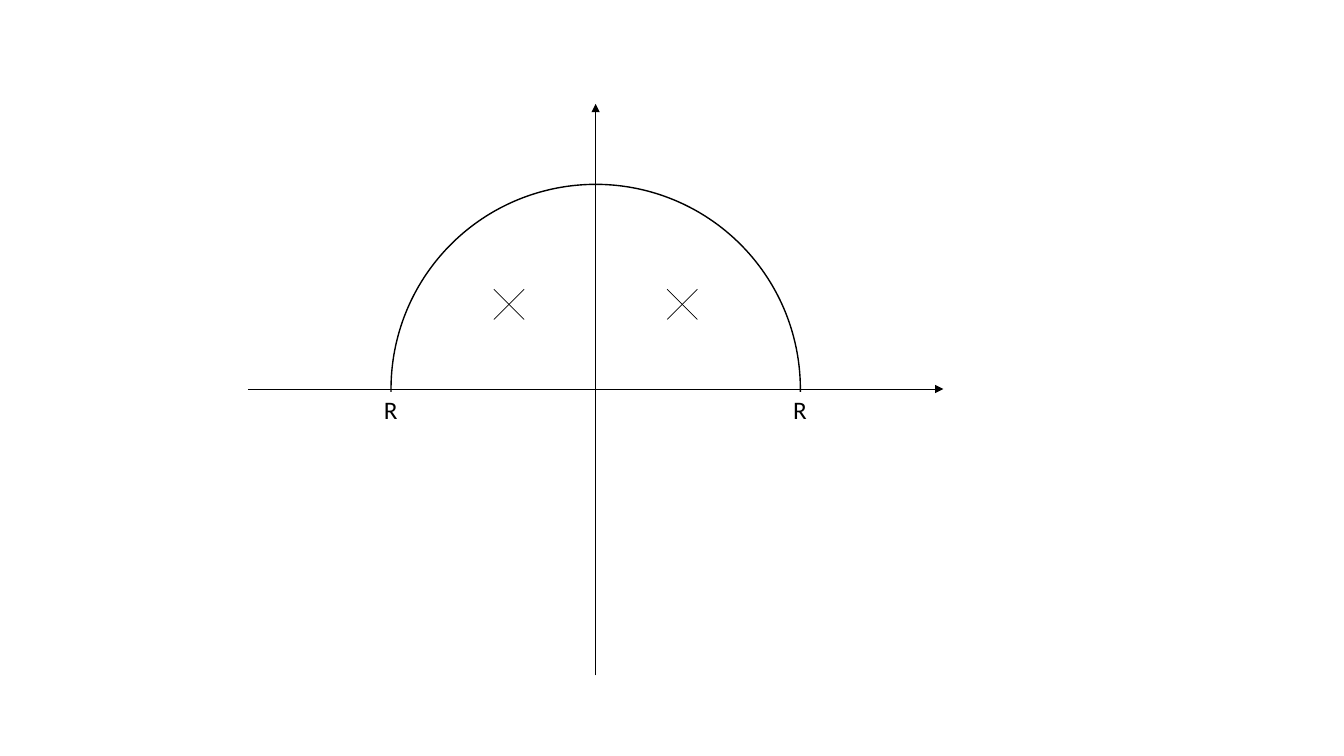
import pptx
import pptx.dml.color
import pptx.enum.shapes
import pptx.enum.text
import pptx.oxml.ns
import pptx.util
import lxml.etree

COLORS = {"ink": "000000", "paper": "FFFFFF"}
ORIGIN_X, ORIGIN_Y = 425.5, 277.9
RADIUS = 146.2
POLE_X, POLE_RISE = 61.9, 60.5


class ContourSlide:
    font_name = "Calibri"
    font_size = 18
    thin_line = 0.5
    curve_line = 1

    def __init__(self, slide):
        self.slide = slide

    def color(self, name):
        return pptx.dml.color.RGBColor.from_string(COLORS[name])

    def points(self, *lengths):
        return [pptx.util.Pt(length) for length in lengths]

    def add_paper_shape(self, kind, left, top, width, height, line_width=None):
        """Add a paper-coloured shape, outlined only if a line width is given."""
        shape = self.slide.shapes.add_shape(
            kind, *self.points(left, top, width, height))
        shape.shadow.inherit = False
        shape.fill.solid()
        shape.fill.fore_color.rgb = self.color("paper")
        if line_width is None:
            shape.line.fill.background()
        else:
            shape.line.color.rgb = self.color("ink")
            shape.line.width = pptx.util.Pt(line_width)

    def add_line(self, start, end, arrow=False, shapes=None):
        """Add a thin line to the slide, or to the shapes of a group."""
        shapes = self.slide.shapes if shapes is None else shapes
        connector = shapes.add_connector(
            pptx.enum.shapes.MSO_CONNECTOR.STRAIGHT, *self.points(*start, *end))
        connector.line.color.rgb = self.color("ink")
        connector.line.width = pptx.util.Pt(self.thin_line)
        qualify = pptx.oxml.ns.qn
        properties = connector.element.spPr
        if arrow:
            lxml.etree.SubElement(properties.find(qualify("a:ln")),
                                  qualify("a:tailEnd"), type="triangle")
        lxml.etree.SubElement(properties, qualify("a:effectLst"))

    def add_cross(self, center_x, center_y, reach=10.8):
        group = self.slide.shapes.add_group_shape()
        for slope in (1, -1):
            self.add_line((center_x - reach, center_y - slope * reach),
                          (center_x + reach, center_y + slope * reach),
                          shapes=group.shapes)

    def add_label(self, text, center_x, top, width=24.5, height=29):
        box = self.slide.shapes.add_textbox(
            *self.points(center_x - width / 2, top, width, height))
        frame = box.text_frame
        frame.word_wrap = False
        frame.auto_size = pptx.enum.text.MSO_AUTO_SIZE.SHAPE_TO_FIT_TEXT
        frame.text = text
        font = frame.paragraphs[0].runs[0].font
        font.name = self.font_name
        font.size = pptx.util.Pt(self.font_size)
        font.color.rgb = self.color("ink")


def main():
    presentation = pptx.Presentation()
    presentation.slide_width = pptx.util.Pt(960)
    presentation.slide_height = pptx.util.Pt(540)
    blank_layout = presentation.slide_layouts[6]
    contour = ContourSlide(presentation.slides.add_slide(blank_layout))

    shape_kind = pptx.enum.shapes.MSO_SHAPE
    contour.add_paper_shape(shape_kind.OVAL, ORIGIN_X - RADIUS, ORIGIN_Y - RADIUS,
                            2 * RADIUS, 2 * RADIUS, contour.curve_line)
    # The rectangle hides the lower half of the circle.
    contour.add_paper_shape(shape_kind.RECTANGLE, 139.7, 280.1, 544.3, 158.4)

    contour.add_line((ORIGIN_X, 482.4), (ORIGIN_X, 74.2), arrow=True)
    contour.add_line((177.1, ORIGIN_Y), (673.9, ORIGIN_Y), arrow=True)

    for side in (1, -1):
        contour.add_label("R", ORIGIN_X + side * RADIUS, ORIGIN_Y)
    for side in (1, -1):
        contour.add_cross(ORIGIN_X + side * POLE_X, ORIGIN_Y - POLE_RISE)

    presentation.save("out.pptx")


if __name__ == "__main__":
    main()
